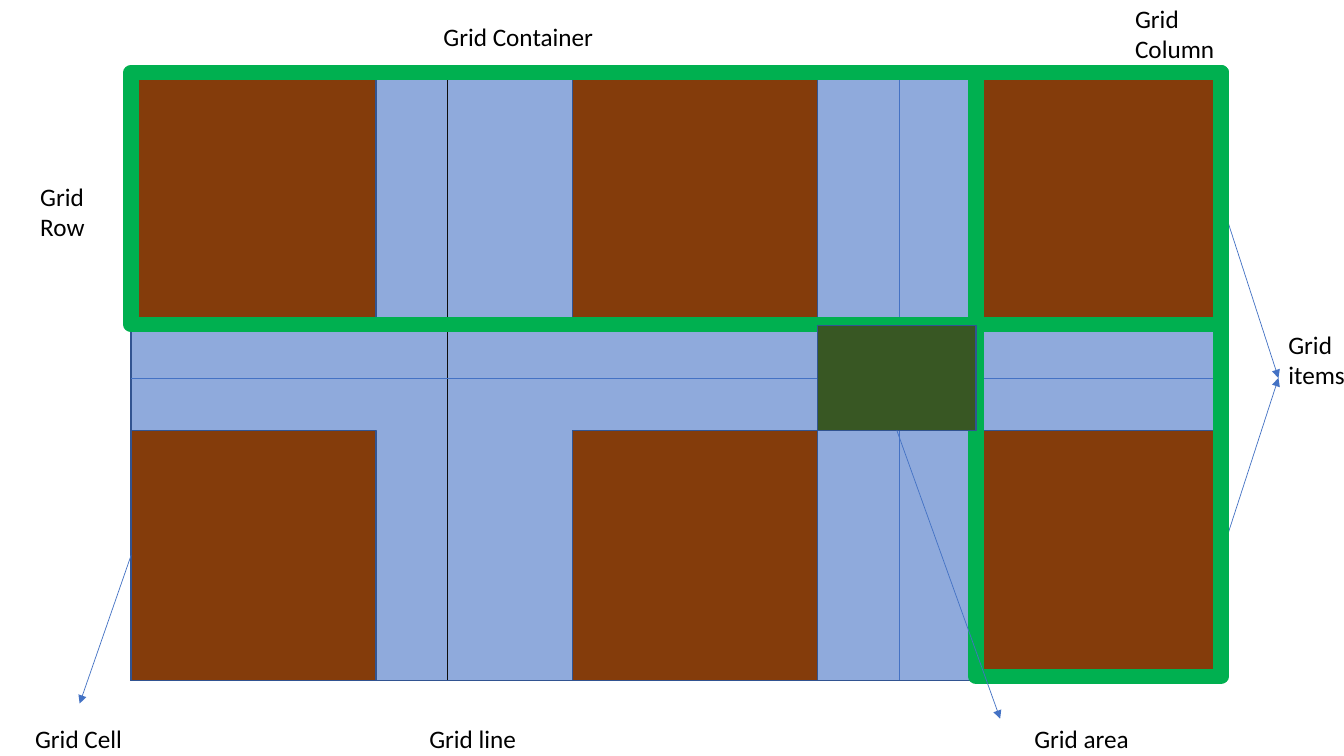
from dataclasses import dataclass
from itertools import product

from lxml import etree
from pptx import Presentation
from pptx import util as u
from pptx.dml.color import RGBColor
from pptx.enum import shapes, text
from pptx.oxml.ns import qn


@dataclass(frozen=True)
class Theme:
    container: str = "8FAADC"
    item: str = "843C0B"
    area: str = "385723"
    outline: str = "325491"
    track: str = "00B050"
    arrow: str = "4472C4"
    dark_line: str = "0D0D0D"
    ink: str = "000000"
    font: str = "Calibri"
    label_size: float = 18
    outline_width: float = 1
    track_width: float = 11
    line_width: float = 0.5


class GridSlide:
    COLUMNS, ROWS = 13.33, 7.5

    def __init__(self, deck, theme):
        self.theme = theme
        self.column = deck.slide_width / self.COLUMNS
        self.row = deck.slide_height / self.ROWS
        self.page = deck.slides.add_slide(deck.slide_layouts[6])

    def place(self, columns, rows):
        return round(columns * self.column), round(rows * self.row)

    def stroke(self, element, color, width):
        element.line.color.rgb = RGBColor.from_string(color)
        element.line.width = u.Pt(width)

    def rectangle(self, left, top, width, height, fill):
        box = self.page.shapes.add_shape(
            shapes.MSO_SHAPE.RECTANGLE, *self.place(left, top), *self.place(width, height))
        box.shadow.inherit = False
        if fill:
            box.fill.solid()
            box.fill.fore_color.rgb = RGBColor.from_string(fill)
            self.stroke(box, self.theme.outline, self.theme.outline_width)
        else:
            box.fill.background()
            self.stroke(box, self.theme.track, self.theme.track_width)

    def track(self, left, top, width, height):
        self.rectangle(left, top, width, height, None)

    def line(self, start, end, color, arrow=False):
        connector = self.page.shapes.add_connector(
            shapes.MSO_CONNECTOR.STRAIGHT, *self.place(*start), *self.place(*end))
        self.stroke(connector, color, self.theme.line_width)
        if arrow:
            etree.SubElement(connector.line._get_or_add_ln(), qn("a:tailEnd"), type="triangle")
        etree.SubElement(connector._element.spPr, qn("a:effectLst"))

    def arrow(self, start, end):
        self.line(start, end, self.theme.arrow, arrow=True)

    def label(self, words, left, top, width, height=0.4, wrap=False):
        box = self.page.shapes.add_textbox(*self.place(left, top), *self.place(width, height))
        frame = box.text_frame
        frame.text = words
        frame.word_wrap = wrap
        frame.auto_size = text.MSO_AUTO_SIZE.SHAPE_TO_FIT_TEXT
        for para in frame.paragraphs:
            for span in para.runs:
                span.font.name = self.theme.font
                span.font.size = u.Pt(self.theme.label_size)
                span.font.color.rgb = RGBColor.from_string(self.theme.ink)


deck = Presentation()
deck.slide_width, deck.slide_height = u.Inches(13.33), u.Inches(7.5)
theme = Theme()
slide = GridSlide(deck, theme)

left, top, width, height = 1.3, 0.75, 10.81, 6
right, bottom, middle = left + width, top + height, top + height / 2
item_width, item_height = 2.43, 2.48
item_lefts = (left, 5.68, right - item_width)
item_tops = (top, bottom - item_height)
upper_center, lower_center = (y + item_height / 2 for y in item_tops)
track_top = 0.72
area_left, area_top = item_lefts[1] + item_width, top + item_height
area_width, area_height = item_lefts[2] - area_left, item_tops[1] - area_top

slide.rectangle(left, top, width, height, theme.container)
for item_top, item_left in product(item_tops, item_lefts):
    slide.rectangle(item_left, item_top, item_width, item_height, theme.item)

slide.arrow((left, lower_center), (0.79, 6.98))
for center in (upper_center, lower_center):
    slide.arrow((right, center), (12.68, middle))

for x, color in ((4.44, theme.dark_line), (8.92, theme.arrow)):
    slide.line((x, top), (x, bottom), color)
slide.line((left, middle), (right, middle), theme.arrow)

slide.track(left, track_top, width, 2.5)
slide.track(item_lefts[2], track_top, item_width, 5.99)
slide.rectangle(area_left, area_top, area_width, area_height, theme.area)
slide.arrow((area_left + area_width / 2, item_tops[1]), (9.92, 7.13))

for words, x, label_width in (
        ("Grid Cell", 0.25, 1.07), ("Grid line", 4.16, 1.07), ("Grid area", 10.16, 1.15)):
    slide.label(words, x, 7.13, label_width)
slide.label("Grid Container", 4.3, 0.16, 1.7)
slide.label("Grid\nitems", 12.68, 3.22, 0.77, 0.71)
slide.label("Grid Row", 0.3, 1.75, 0.95, 0.71, wrap=True)
slide.label("Grid Column", 11.16, -0.02, 1.43, 0.71, wrap=True)

deck.save("out.pptx")
